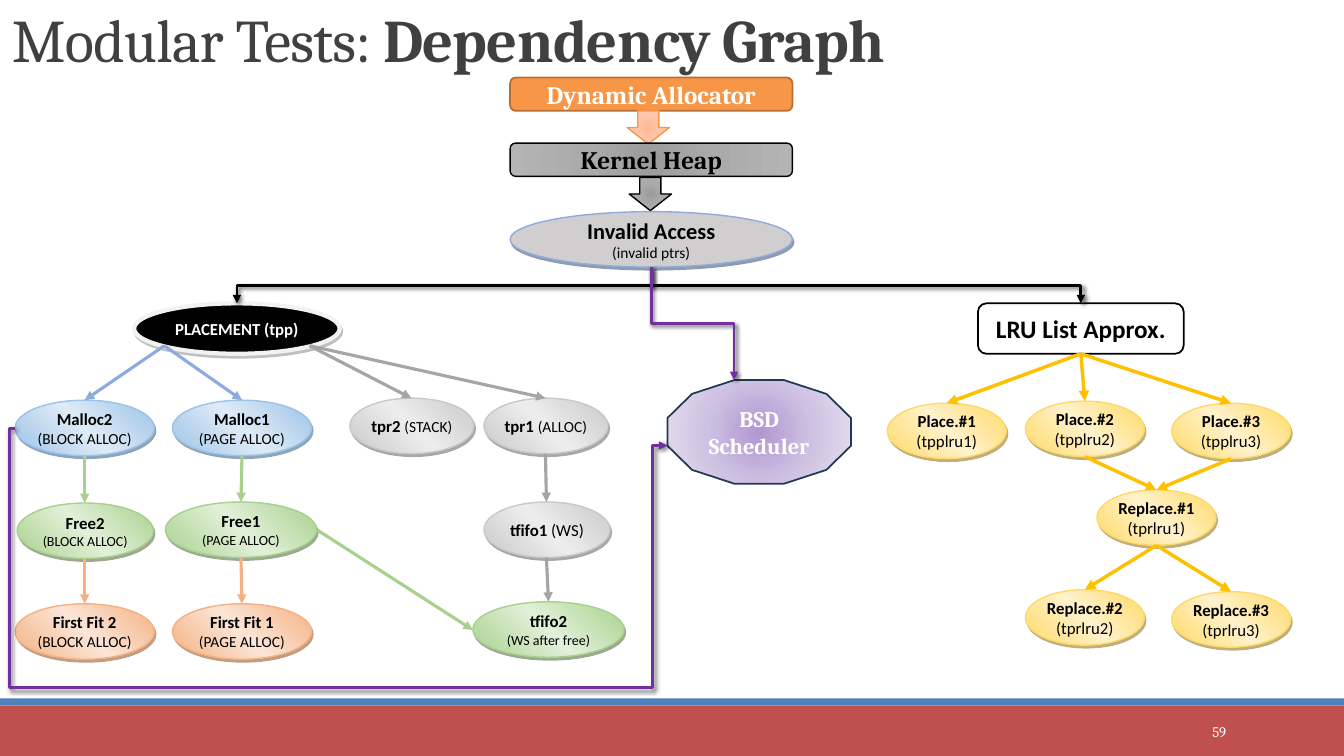
from lxml import etree
from pptx import Presentation
from pptx import util as u
from pptx.dml.color import RGBColor
from pptx.enum import shapes, text
from pptx.oxml import ns

PX = 9144
BLACK = RGBColor(0x00, 0x00, 0x00)
WHITE = RGBColor(0xFF, 0xFF, 0xFF)
DARK = RGBColor(0x40, 0x40, 0x40)
RED = RGBColor(0xC0, 0x50, 0x4D)
NAVY = RGBColor(0x4F, 0x81, 0xBD)
ORANGE = RGBColor(0xF7, 0x96, 0x46)
BROWN = RGBColor(0xB7, 0x6F, 0x34)
SILVER = RGBColor(0xD0, 0xCE, 0xCE)
SKY = RGBColor(0x8F, 0xAA, 0xDC)
ASH = RGBColor(0xA5, 0xA5, 0xA5)
GOLD = RGBColor(0xFF, 0xC0, 0x00)
PURPLE = RGBColor(0x70, 0x30, 0xA0)
INK = RGBColor(0x23, 0x39, 0x53)
PALE = RGBColor(0xF2, 0xF2, 0xF2)
SMOKE = RGBColor(0x80, 0x80, 0x80)
DUSK = RGBColor(0x20, 0x38, 0x64)
GRAY = RGBColor(0xC9, 0xC9, 0xC9)
YELLOW = RGBColor(0xFF, 0xD9, 0x66)
GREEN = RGBColor(0xA9, 0xD1, 0x8E)
BLUE = RGBColor(0x9D, 0xC3, 0xE6)
PEACH = RGBColor(0xF4, 0xB1, 0x83)
TINTS = {
    GRAY: (RGBColor(0xED, 0xED, 0xED), RGBColor(0x52, 0x52, 0x52)),
    YELLOW: (RGBColor(0xFF, 0xF2, 0xCC), RGBColor(0x80, 0x60, 0x00)),
    GREEN: (RGBColor(0xE2, 0xF0, 0xD9), RGBColor(0x38, 0x57, 0x23)),
    BLUE: (RGBColor(0xDE, 0xEB, 0xF7), RGBColor(0x1F, 0x4E, 0x79)),
    PEACH: (RGBColor(0xFB, 0xE5, 0xD6), RGBColor(0x84, 0x3C, 0x0B)),
}
STEEL = (RGBColor(0x9C, 0x9C, 0x9C), RGBColor(0xAA, 0xAA, 0xAA), RGBColor(0xB4, 0xB4, 0xB4))
CORAL = (RGBColor(0xFD, 0xB8, 0x96), RGBColor(0xFF, 0xC6, 0xAA), RGBColor(0xFF, 0xCC, 0xB5))
LILAC = (RGBColor(0xB1, 0x97, 0xD2), RGBColor(0xCE, 0xC1, 0xE2), RGBColor(0xE7, 0xE1, 0xF0))
KIND = shapes.MSO_SHAPE


def sub(root, tag, **attrs):
    node = etree.SubElement(root, ns.qn("a:" + tag))
    for key, value in attrs.items():
        node.set(key, str(value))
    return node


def write(frame, rows, font="Calibri", color=BLACK, align="CENTER", anchor="MIDDLE",
          inset=None, leading=None, track=None):
    frame.word_wrap = True
    frame.vertical_anchor = getattr(text.MSO_ANCHOR, anchor)
    if inset is not None:
        frame.margin_left = frame.margin_right = inset
        frame.margin_top = frame.margin_bottom = inset
    for i, row in enumerate(rows):
        para = frame.add_paragraph() if i else frame.paragraphs[0]
        para.alignment = getattr(text.PP_ALIGN, align)
        if leading:
            para.line_spacing = leading
        for words, size, bold in row:
            run = para.add_run()
            run.text = words
            run.font.name = font
            run.font.size = u.Pt(size)
            run.font.bold = bold
            run.font.color.rgb = color
            if track:
                run.font._element.set("spc", str(track))


def shade(item, color, alpha, blur, dist, angle):
    props = item._element.spPr
    old = props.find(ns.qn("a:effectLst"))
    root = sub(props, "effectLst") if old is None else old
    drop = sub(root, "outerShdw", blurRad=u.Pt(blur), dist=u.Pt(dist),
               dir=angle * 60000, algn="ctr", rotWithShape=0)
    sub(sub(drop, "srgbClr", val=color), "alpha", val=alpha * 1000)


def blend(item, stops, mid=50, focus=None):
    item.fill.gradient()
    grad = item._element.spPr.find(ns.qn("a:gradFill"))
    for child in list(grad):
        grad.remove(child)
    ramp = sub(grad, "gsLst")
    for spot, color in zip((0, mid, 100), stops):
        sub(sub(ramp, "gs", pos=spot * 1000), "srgbClr", val=color)
    if focus is None:
        sub(grad, "lin", ang=315 * 60000, scaled=0)
    else:
        rim = focus * 1000
        way = sub(grad, "path", path="circle")
        sub(way, "fillToRect", l=rim, t=rim, r=rim, b=rim)


def head(box):
    x, y, w, h = box
    return x + w // 2, y


def foot(box):
    x, y, w, h = box
    return x + w // 2, y + h


class Graph:
    def __init__(self):
        self.deck = Presentation()
        self.deck.slide_width, self.deck.slide_height = 1333 * PX, 750 * PX
        self.slide = self.deck.slides.add_slide(self.deck.slide_layouts[6])

    def label(self, box, rows, **form):
        area = self.slide.shapes.add_textbox(*(v * PX for v in box))
        write(area.text_frame, rows, **form)

    def shape(self, kind, box, fill, line=None, width=1, rows=(), mid=45, focus=100, **form):
        item = self.slide.shapes.add_shape(kind, *(v * PX for v in box))
        item.shadow.inherit = False
        if isinstance(fill, tuple) and not isinstance(fill, RGBColor):
            blend(item, fill, mid, focus)
        else:
            item.fill.solid()
            item.fill.fore_color.rgb = fill
        if line is None:
            item.line.fill.background()
        else:
            item.line.color.rgb = line
            item.line.width = u.Pt(width)
        write(item.text_frame, rows, **form)
        return item

    def oval(self, box, fill, line, shadow, rows, **form):
        item = self.shape(KIND.OVAL, box, fill, line, rows=rows, inset=0, **form)
        shade(item, shadow, 50, 0, 2.2, 63)
        return box

    def test(self, box, color, *rows):
        pale, deep = TINTS[color]
        return self.oval(box, (color, pale, color), color, deep, rows, mid=50, focus=None)

    def arrow(self, start, end, color, width=2.25, kind="STRAIGHT"):
        kind = getattr(shapes.MSO_CONNECTOR, kind)
        item = self.slide.shapes.add_connector(kind, *(round(v * PX) for v in start + end))
        item.line.color.rgb = color
        item.line.width = u.Pt(width)
        sub(item.line._get_or_add_ln(), "tailEnd", type="triangle")
        sub(item._element.spPr, "effectLst")
        return item

    def drop(self, start, end, color):
        (x, y), (right, low) = start, end
        cx, cy = (x + right) / 2, (y + low) / 2
        dx, dy = abs(right - x) / 2, (low - y) / 2
        side = 1 if right > x else -1
        item = self.arrow((cx + side * dy, cy - dx), (cx - side * dy, cy + dx), color, 2, "ELBOW")
        frame = item._element.spPr.find(ns.qn("a:xfrm"))
        frame.set("rot", str((270 if side > 0 else 90) * 60000))
        shade(item, BLACK, 60, 3, 2, 45)

    def loop(self, start, end, left, low, right, color):
        item = self.arrow(start, end, color, 2, "ELBOW")
        wide, tall = end[0] - start[0], end[1] - start[1]
        geom = item._element.spPr.find(ns.qn("a:prstGeom"))
        geom.set("prst", "bentConnector5")
        turns = (left - start[0]) / wide, (low - start[1]) / tall, (right - start[0]) / wide
        guides = geom.get_or_add_avLst()
        for i, turn in enumerate(turns, 1):
            sub(guides, "gd", name=f"adj{i}", fmla=f"val {round(turn * 100000)}")
        shade(item, BLACK, 60, 3, 2, 45)


def main():
    g = Graph()
    g.shape(KIND.RECTANGLE, (0, 700, 1333, 50), RED)
    g.shape(KIND.RECTANGLE, (0, 693, 1333, 7), NAVY)
    g.label((1083, 706, 143, 40), [[("59", 10.5, False)]], font="Cambria", color=WHITE, align="RIGHT")
    g.label((2, 2, 1331, 77), [[("Modular Tests: ", 43.2, False), ("Dependency Graph", 43.2, True)]],
            font="Cambria", color=DARK, align="LEFT", anchor="BOTTOM", leading=0.85, track=-50)

    g.shape(KIND.ROUNDED_RECTANGLE, (506, 77, 280, 33), ORANGE, BROWN, 1.25,
            [[("Dynamic Allocator", 18, True)]], font="Cambria", color=WHITE)
    g.shape(KIND.DOWN_ARROW, (622, 110, 42, 33), CORAL, ORANGE)
    g.shape(KIND.ROUNDED_RECTANGLE, (506, 142, 280, 33), STEEL, BLACK,
            rows=[[("Kernel Heap", 18, True)]], font="Cambria")
    g.shape(KIND.DOWN_ARROW, (624, 176, 42, 33), STEEL, BLACK)
    access = g.oval((506, 210, 280, 55), SILVER, SKY, DUSK,
                    [[("Invalid Access", 16, True)], [("(invalid ptrs)", 11, False)]])
    place = g.oval((133, 301, 204, 50), BLACK, PALE, SMOKE,
                   [[("PLACEMENT (tpp)", 12, True)]], width=3, color=WHITE)
    lru = (970, 301, 204, 50)
    g.shape(KIND.ROUNDED_RECTANGLE, lru, WHITE, BLACK, 1.25, [[("LRU List Approx.", 18, True)]], inset=0)
    bsd = (662, 377, 182, 103)
    g.shape(KIND.DODECAGON, bsd, LILAC, INK, 1.25, [[("BSD Scheduler", 16, True)]],
            mid=50, focus=50, font="Cambria", color=WHITE)

    west, east = (163, 343), (307, 343)
    chains = (
        (2, "(BLOCK ALLOC)", 15, (17, 499, 135, 55)),
        (1, "(PAGE ALLOC)", 171, (164, 498, 150, 55)),
    )
    for no, note, x, spot in chains:
        malloc = g.test((x, 397, 138, 55), BLUE, [(f"Malloc{no}", 12, True)], [(note, 11, False)])
        free = g.test(spot, GREEN, [(f"Free{no}", 12, True)], [(note, 10, False)])
        fit = g.test((x, 599, 138, 55), PEACH, [(f"First Fit {no}", 12, True)], [(note, 11, False)])
        g.arrow(west, head(malloc), SKY)
        g.arrow(foot(malloc), head(free), GREEN)
        g.arrow(foot(free), head(fit), PEACH)

    stack = g.test((347, 395, 123, 55), GRAY, [("tpr2 ", 12, True), ("(STACK)", 11, False)])
    alloc = g.test((480, 395, 123, 55), GRAY, [("tpr1 ", 12, True), ("(ALLOC)", 11, False)])
    fifo = g.test((480, 498, 125, 55), GRAY, [("tfifo1 ", 12, True), ("(WS)", 12, False)])
    after = g.test((469, 597, 150, 55), GREEN, [("tfifo2", 12, True)], [("(WS after free)", 10, False)])
    for start, end in ((east, head(stack)), (east, head(alloc)),
                       (foot(alloc), head(fifo)), (foot(fifo), head(after))):
        g.arrow(start, end, ASH)
    g.arrow((315, 526), (469, 625), GREEN)

    spots = {
        "Place.#1": (880, 400), "Place.#2": (1017, 398), "Place.#3": (1162, 400),
        "Replace.#1": (1088, 486), "Replace.#2": (1017, 585), "Replace.#3": (1162, 587),
    }
    nodes = {"LRU": lru}
    for name, (x, y) in spots.items():
        code = ("tpplru" if name.startswith("Place") else "tprlru") + name[-1]
        nodes[name] = g.test((x, y, 118, 55), YELLOW, [(name + " ", 12, True), (f"({code})", 12, False)])
    for start, end in (("LRU", "Place.#1"), ("LRU", "Place.#2"), ("LRU", "Place.#3"),
                       ("Place.#2", "Replace.#1"), ("Place.#3", "Replace.#1"),
                       ("Replace.#1", "Replace.#2"), ("Replace.#1", "Replace.#3")):
        g.arrow(foot(nodes[start]), head(nodes[end]), GOLD, 2.5)

    g.drop(foot(access), head(place), BLACK)
    g.drop(foot(access), head(lru), BLACK)
    g.loop((15, 425), (662, 442), 9, 682, 647, PURPLE)
    g.drop(foot(access), (728, 377), PURPLE)
    g.deck.save("out.pptx")


if __name__ == "__main__":
    main()
